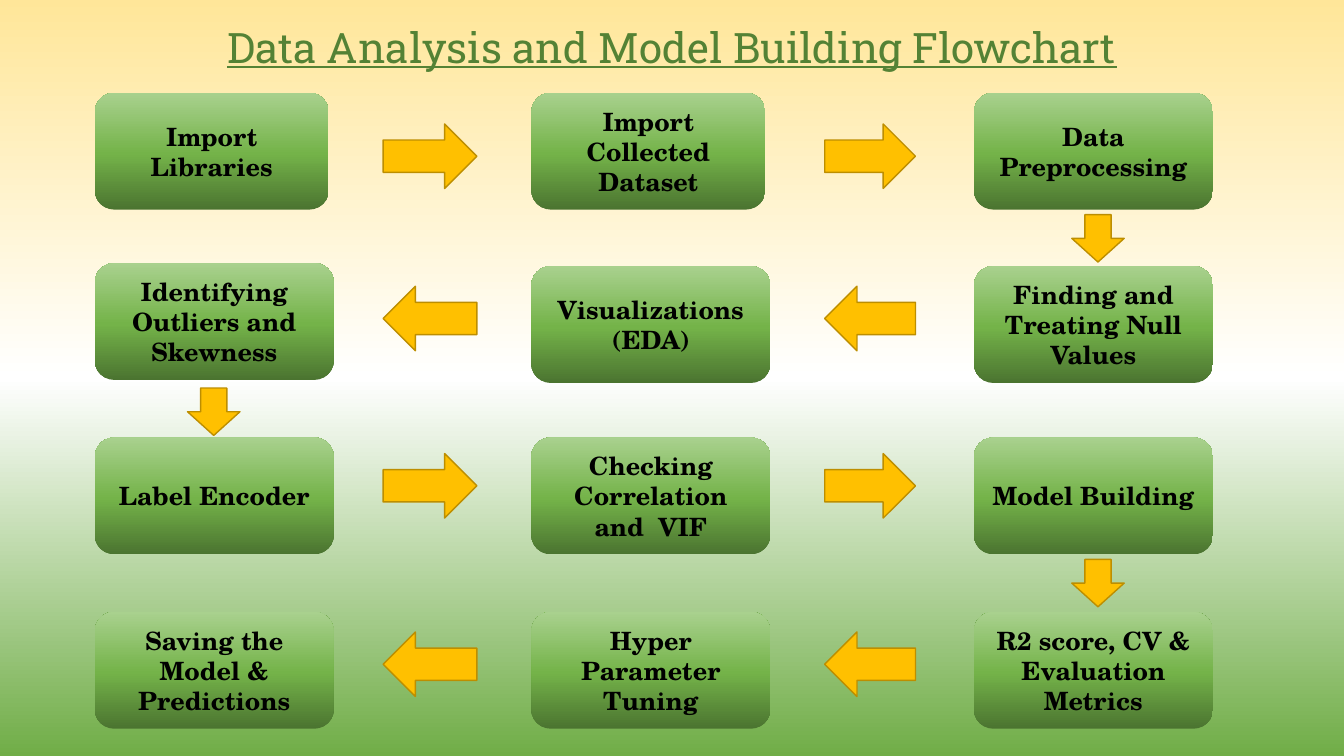
from lxml import etree
from pptx import Presentation
from pptx import util as u
from pptx.dml.color import RGBColor
from pptx.enum import shapes, text
from pptx.oxml.ns import qn

SHAPE = shapes.MSO_SHAPE
COLUMN_LEFTS = [0.94, 5.27, 9.66]
ROW_TOPS = [0.92, 2.64, 4.34, 6.07]
BOX_WIDTH, BOX_HEIGHT = 2.37, 1.16
NARROW_WIDTH = 2.32
GAP_ARROWS = [(3.8, 0.93), (8.18, 0.9)]
ARROW_TOPS = [1.23, 2.84, 4.5, 6.27]
ARROW_HEIGHT = 0.64
DOWN_WIDTH, DOWN_HEIGHT, DOWN_GAP = 0.52, 0.47, 0.05
DOWN_LEFTS = [10.63, 1.86, 10.63]

PAGE_STOPS = [(0, "FFE699"), (50, "FFFFFF"), (100, "70AD47")]
BOX_STOPS = [(0, "4B7430"), (48, "74B349"), (100, "A9D18E")]

STEPS = [
    ["Import Libraries", "Import Collected Dataset", "Data Preprocessing"],
    ["Identifying Outliers and Skewness", "Visualizations\n(EDA)",
     "Finding and Treating Null Values"],
    ["Label Encoder", "Checking Correlation and  VIF", "Model Building"],
    ["Saving the Model & Predictions", "Hyper Parameter Tuning",
     "R2 score, CV & Evaluation Metrics"],
]


def colour(value):
    return RGBColor.from_string(value)


def paint_gradient(fill, element, stops, angle):
    fill.gradient()
    fill.gradient_angle = angle
    stop_list = next(element.iter(qn("a:gsLst")))
    for stop in list(stop_list):
        stop_list.remove(stop)
    for percent, value in stops:
        stop = etree.SubElement(stop_list, qn("a:gs"), pos=str(percent * 1000))
        etree.SubElement(stop, qn("a:srgbClr"), val=value)


def write(frame, content, size, font, value, bold=False, underline=False):
    for index, line in enumerate(content.split("\n")):
        para = frame.paragraphs[0] if index == 0 else frame.add_paragraph()
        para.alignment = text.PP_ALIGN.CENTER
        span = para.add_run()
        span.text = line
        span.font.size = u.Pt(size)
        span.font.name = font
        span.font.bold = bold
        span.font.underline = underline
        span.font.color.rgb = colour(value)


def add_title(page, content, width):
    title = page.shapes.title
    title.left, title.top = 0, u.Inches(0.16)
    title.width, title.height = width, u.Inches(0.61)
    frame = title.text_frame
    frame.word_wrap = True
    frame.auto_size = text.MSO_AUTO_SIZE.SHAPE_TO_FIT_TEXT
    frame.vertical_anchor = text.MSO_ANCHOR.TOP
    write(frame, content, 30, "Roboto Slab", "548235", underline=True)


def add_block(page, kind, left, top, width, height):
    block = page.shapes.add_shape(kind, *map(u.Inches, (left, top, width, height)))
    block.shadow.inherit = False
    return block


def add_arrow(page, kind, left, top, width, height):
    arrow = add_block(page, kind, left, top, width, height)
    arrow.fill.solid()
    arrow.fill.fore_color.rgb = colour("FFC000")
    arrow.line.color.rgb = colour("BD8E00")
    arrow.line.width = u.Pt(1)


def add_step(page, content, left, top, width):
    box = add_block(page, SHAPE.FLOWCHART_ALTERNATE_PROCESS,
                    left, top, width, BOX_HEIGHT)
    paint_gradient(box.fill, box.element, BOX_STOPS, 90)
    box.line.fill.background()
    frame = box.text_frame
    frame.word_wrap = True
    frame.vertical_anchor = text.MSO_ANCHOR.MIDDLE
    write(frame, content, 18, "TeX Gyre Schola", "000000", bold=True)


def main():
    deck = Presentation()
    deck.slide_width, deck.slide_height = u.Inches(13.33), u.Inches(7.5)
    page = deck.slides.add_slide(deck.slide_layouts.get_by_name("Title Only"))
    paint_gradient(page.background.fill, page.element, PAGE_STOPS, 270)
    add_title(page, "Data Analysis and Model Building Flowchart", deck.slide_width)

    for row, top in enumerate(ARROW_TOPS):
        kind = SHAPE.LEFT_ARROW if row % 2 else SHAPE.RIGHT_ARROW
        for left, width in GAP_ARROWS:
            add_arrow(page, kind, left, top, width, ARROW_HEIGHT)
    for left, row_top in zip(DOWN_LEFTS, ROW_TOPS):
        add_arrow(page, SHAPE.DOWN_ARROW, left, row_top + BOX_HEIGHT + DOWN_GAP,
                  DOWN_WIDTH, DOWN_HEIGHT)

    for row, (top, steps) in enumerate(zip(ROW_TOPS, STEPS)):
        for column, (left, content) in enumerate(zip(COLUMN_LEFTS, steps)):
            narrow = row == 0 and column < 2
            raised = 0.03 if (row, column) == (1, 0) else 0
            add_step(page, content, left, top - raised,
                     NARROW_WIDTH if narrow else BOX_WIDTH)
    deck.save("out.pptx")


if __name__ == "__main__":
    main()
